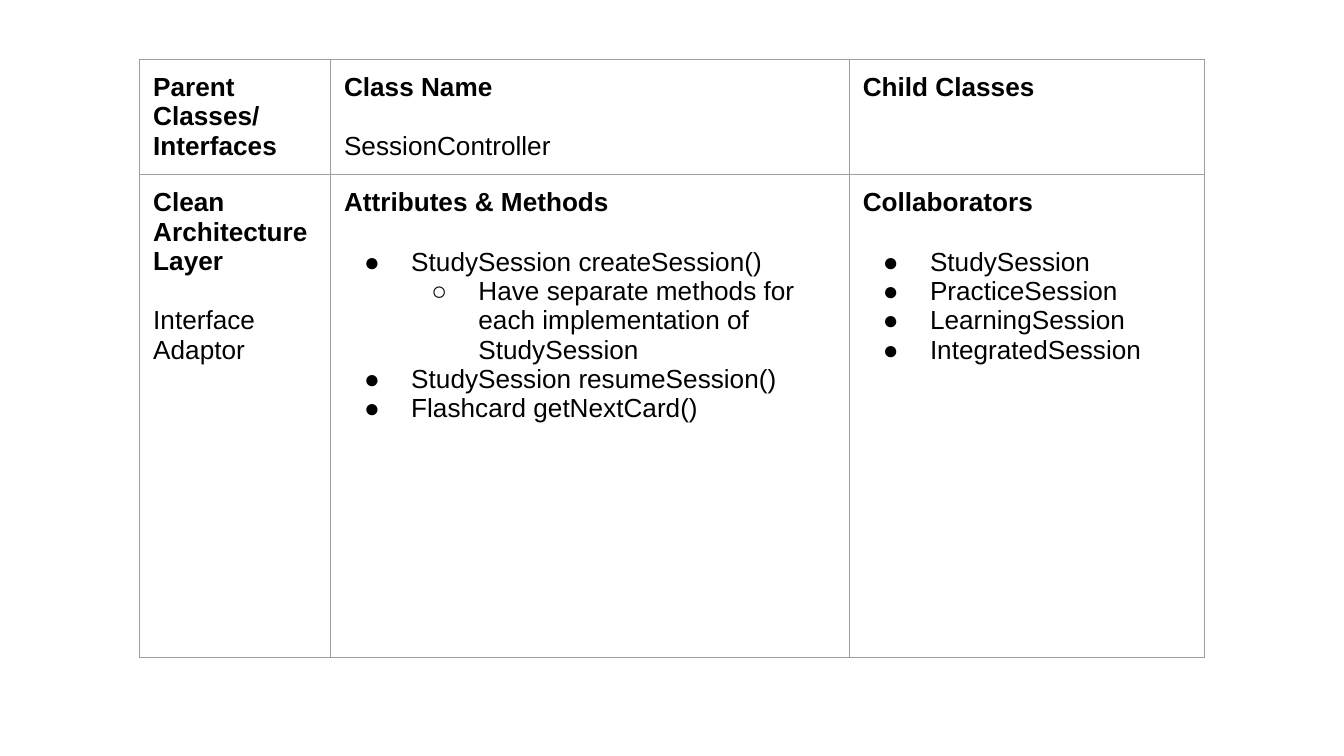
"""Build a class card slide for SessionController."""
import pptx
import pptx.dml.color
import pptx.oxml
import pptx.oxml.ns
import pptx.util

Inches = pptx.util.Inches
Pt = pptx.util.Pt
BLACK = pptx.dml.color.RGBColor(0x00, 0x00, 0x00)
GRAY = pptx.dml.color.RGBColor(0x9E, 0x9E, 0x9E)
NAMESPACE = pptx.oxml.ns.nsdecls("a")
BULLETS = "●○"

HEADING, PLAIN, ITEM, SUBITEM = "heading", "plain", "item", "subitem"
COLUMNS = [1.42, 3.86, 2.64]
ROWS = [0.86, 3.59]
CARD = [
    [
        [(HEADING, "Parent Classes/"), (HEADING, "Interfaces")],
        [(HEADING, "Class Name"), (PLAIN, "SessionController")],
        [(HEADING, "Child Classes")],
    ],
    [
        [(HEADING, "Clean Architecture Layer"), (PLAIN, "Interface Adaptor")],
        [
            (HEADING, "Attributes & Methods"),
            (ITEM, "StudySession createSession()"),
            (SUBITEM, "Have separate methods for each implementation of StudySession"),
            (ITEM, "StudySession resumeSession()"),
            (ITEM, "Flashcard getNextCard()"),
        ],
        [
            (HEADING, "Collaborators"),
            (ITEM, "StudySession"),
            (ITEM, "PracticeSession"),
            (ITEM, "LearningSession"),
            (ITEM, "IntegratedSession"),
        ],
    ],
]


class CardSlide:
    """Hold the text style and the current page."""

    text_format = {"name": "Arial", "size": Pt(14)}
    cell_format = {
        f"margin_{side}": Inches(0.1) for side in ("left", "right", "top", "bottom")
    }
    table_format = {"first_row": False, "horz_banding": False}
    heading_gap = Pt(16)

    def __init__(self, page):
        self.page = page

    def apply(self, target, values):
        for name, value in values.items():
            setattr(target, name, value)

    def bullet(self, para, level):
        para.level = level
        properties = para._p.get_or_add_pPr()
        properties.set("marL", str(Inches(0.5 * (level + 1))))
        properties.set("indent", str(Inches(-0.35)))
        for markup in (
            f'<a:buClr {NAMESPACE}><a:srgbClr val="{BLACK}"/></a:buClr>',
            f'<a:buFont {NAMESPACE} typeface="Arial"/>',
            f'<a:buChar {NAMESPACE} char="{BULLETS[level]}"/>',
        ):
            properties.append(pptx.oxml.parse_xml(markup))

    def borders(self, cell):
        properties = cell._tc.get_or_add_tcPr()
        for side in "LRTB":
            properties.append(pptx.oxml.parse_xml(
                f'<a:ln{side} {NAMESPACE} w="{Pt(0.75)}"><a:solidFill>'
                f'<a:srgbClr val="{GRAY}"/></a:solidFill></a:ln{side}>'
            ))

    def text(self, frame, lines):
        previous = None
        for index, (kind, words) in enumerate(lines):
            para = frame.add_paragraph() if index else frame.paragraphs[0]
            if kind in (ITEM, SUBITEM):
                self.bullet(para, int(kind == SUBITEM))
            if previous == HEADING and kind != HEADING:
                para.space_before = self.heading_gap
            span = para.add_run()
            span.text = words
            self.apply(span.font, {**self.text_format, "bold": kind == HEADING})
            span.font.color.rgb = BLACK
            previous = kind

    def table(self, left, top, columns, rows, contents):
        table = self.page.shapes.add_table(
            len(rows), len(columns), Inches(left), Inches(top),
            Inches(sum(columns)), Inches(sum(rows)),
        ).table
        self.apply(table, self.table_format)
        for column, width in zip(table.columns, columns):
            column.width = Inches(width)
        for row, height, row_contents in zip(table.rows, rows, contents):
            row.height = Inches(height)
            for cell, lines in zip(row.cells, row_contents):
                self.apply(cell, self.cell_format)
                self.borders(cell)
                cell.fill.background()
                self.text(cell.text_frame, lines)


def main():
    deck = pptx.Presentation()
    deck.slide_width = Inches(10)
    deck.slide_height = deck.slide_width * 9 // 16
    card = CardSlide(deck.slides.add_slide(deck.slide_layouts[6]))
    card.table(1.04, 0.44, COLUMNS, ROWS, CARD)
    deck.save("out.pptx")


if __name__ == "__main__":
    main()
